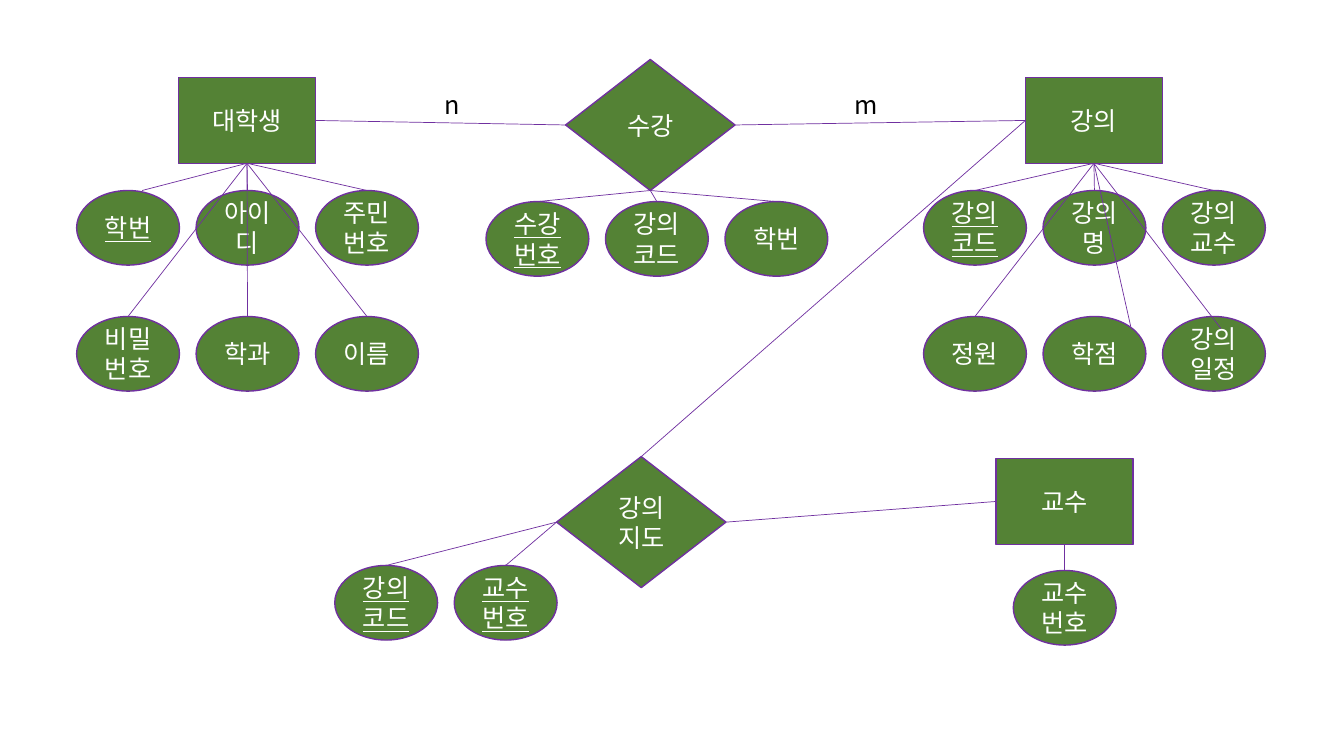
from dataclasses import dataclass
from enum import IntEnum

from lxml import etree
from pptx import Presentation, util as u
from pptx.dml.color import RGBColor
from pptx.enum import shapes, text
from pptx.oxml.ns import qn

COLORS = {"fill": "548235", "line": "7030A0", "light": "FFFFFF", "dark": "000000"}
FONT = "Noto Sans CJK KR"
RECT, DIAMOND, OVAL = (shapes.MSO_SHAPE.RECTANGLE, shapes.MSO_SHAPE.DIAMOND,
                       shapes.MSO_SHAPE.OVAL)
SIZES = {RECT: (1.36, 0.85), DIAMOND: (1.68, 1.3), OVAL: (1.02, 0.74)}
COL_STEP, ROW_STEP, COLS = 1.185, 1.25, 3


class Site(IntEnum):
    """Connection sites shared by all node shapes."""
    TOP, LEFT, BOTTOM, RIGHT = range(4)


@dataclass
class Attr:
    """An attribute oval; key attributes are underlined."""
    label: str
    key: bool = False
    shift: tuple[float, float] = (0, 0)  # link end, measured from the oval's top


@dataclass
class Node:
    """An entity or relationship with a grid of attributes."""
    label: str
    kind: shapes.MSO_SHAPE
    x: float
    y: float
    attrs: list[Attr]
    grid: tuple[float, float] = (0, 0)
    site: Site = Site.BOTTOM


@dataclass
class Link:
    """A line between two nodes."""
    start: str
    start_site: Site
    end: str
    end_site: Site


NODES = {
    "student": Node("대학생", RECT, 1.77, 0.77, [
        Attr("학번", True, (0.14, 0)), Attr("아이디"), Attr("주민번호"),
        Attr("비밀번호"), Attr("학과"), Attr("이름")], (0.76, 1.89)),
    "lecture": Node("강의", RECT, 10.17, 0.77, [
        Attr("강의 코드", True), Attr("강의 명"), Attr("강의교수"),
        Attr("정원"), Attr("학점", shift=(0.36, 0.1)),
        Attr("강의 일정", shift=(0.07, 0.12))], (9.16, 1.89)),
    "enrol": Node("수강", DIAMOND, 5.61, 0.59, [
        Attr("수강 번호", True), Attr("강의 코드"), Attr("학번")], (4.82, 2)),
    "teach": Node("강의 지도", DIAMOND, 5.52, 4.53, [
        Attr("강의 코드", True), Attr("교수 번호", True)], (3.32, 5.61), Site.LEFT),
    "professor": Node("교수", RECT, 9.88, 4.55, [Attr("교수 번호")], (10.05, 5.66)),
}
LINKS = [
    Link("student", Site.RIGHT, "enrol", Site.LEFT),
    Link("enrol", Site.RIGHT, "lecture", Site.LEFT),
    Link("lecture", Site.LEFT, "teach", Site.TOP),
    Link("teach", Site.RIGHT, "professor", Site.LEFT),
]
CARDINALITIES = [("n", 4.31), ("m", 8.38)]


def rgb(name: str) -> RGBColor:
    """Look up a palette colour."""
    return RGBColor.from_string(COLORS[name])


def put_text(tf, words: str, *, color: str = "light", underline: bool = False,
             align=text.PP_ALIGN.CENTER, wrap: bool = True) -> None:
    """Write one formatted run into a text frame."""
    tf.word_wrap = wrap
    p = tf.paragraphs[0]
    p.alignment = align
    r = p.add_run()
    r.text = words
    r.font.name, r.font.size = FONT, u.Pt(18)
    r.font.color.rgb = rgb(color)
    if underline:
        r.font.underline = True
    etree.SubElement(r.font._element, qn("a:ea"), typeface=FONT)


def add_node(s, kind, x: float, y: float, label: str, underline: bool = False):
    """Draw a labelled shape of the size that belongs to its kind."""
    w, h = SIZES[kind]
    sp = s.shapes.add_shape(kind, u.Inches(x), u.Inches(y), u.Inches(w), u.Inches(h))
    sp.shadow.inherit = False
    sp.fill.solid()
    sp.fill.fore_color.rgb = rgb("fill")
    sp.line.color.rgb = rgb("line")
    sp.line.width = u.Pt(1)
    put_text(sp.text_frame, label, underline=underline)
    return sp


def add_link(s, start, start_site: Site, end, end_site: Site,
             shift: tuple[float, float] = (0, 0)) -> None:
    """Join two shapes; a shifted end is left unglued."""
    c = s.shapes.add_connector(shapes.MSO_CONNECTOR.STRAIGHT, 0, 0, 0, 0)
    c.begin_connect(start, start_site)
    if any(shift):
        c.end_x = end.left + end.width // 2 + u.Inches(shift[0])
        c.end_y = end.top + u.Inches(shift[1])
    else:
        c.end_connect(end, end_site)
    c.line.color.rgb = rgb("line")
    c.line.width = u.Pt(0.5)
    etree.SubElement(c._element.spPr, qn("a:effectLst"))


def add_attrs(s, node: Node) -> list:
    """Draw a node's attribute ovals row by row."""
    ovals = []
    for i, attr in enumerate(node.attrs):
        row, col = divmod(i, COLS)
        ovals.append(add_node(s, OVAL, node.grid[0] + col * COL_STEP,
                              node.grid[1] + row * ROW_STEP, attr.label, attr.key))
    return ovals


def build() -> None:
    """Build and save the entity-relationship diagram."""
    prs = Presentation()
    prs.slide_width, prs.slide_height = u.Inches(13.33), u.Inches(7.5)
    s = prs.slides.add_slide(prs.slide_layouts[6])
    heads = {k: add_node(s, n.kind, n.x, n.y, n.label) for k, n in NODES.items()}
    ovals = {k: add_attrs(s, n) for k, n in NODES.items()}
    for k, node in NODES.items():
        for attr, oval in zip(node.attrs, ovals[k]):
            add_link(s, heads[k], node.site, oval, Site.TOP, attr.shift)
    for link in LINKS:
        add_link(s, heads[link.start], link.start_site, heads[link.end], link.end_site)
    for label, x in CARDINALITIES:
        tb = s.shapes.add_textbox(u.Inches(x), u.Inches(0.84), u.Inches(0.35), u.Inches(0.4))
        put_text(tb.text_frame, label, color="dark", align=text.PP_ALIGN.LEFT, wrap=False)
    prs.save("out.pptx")


build()
